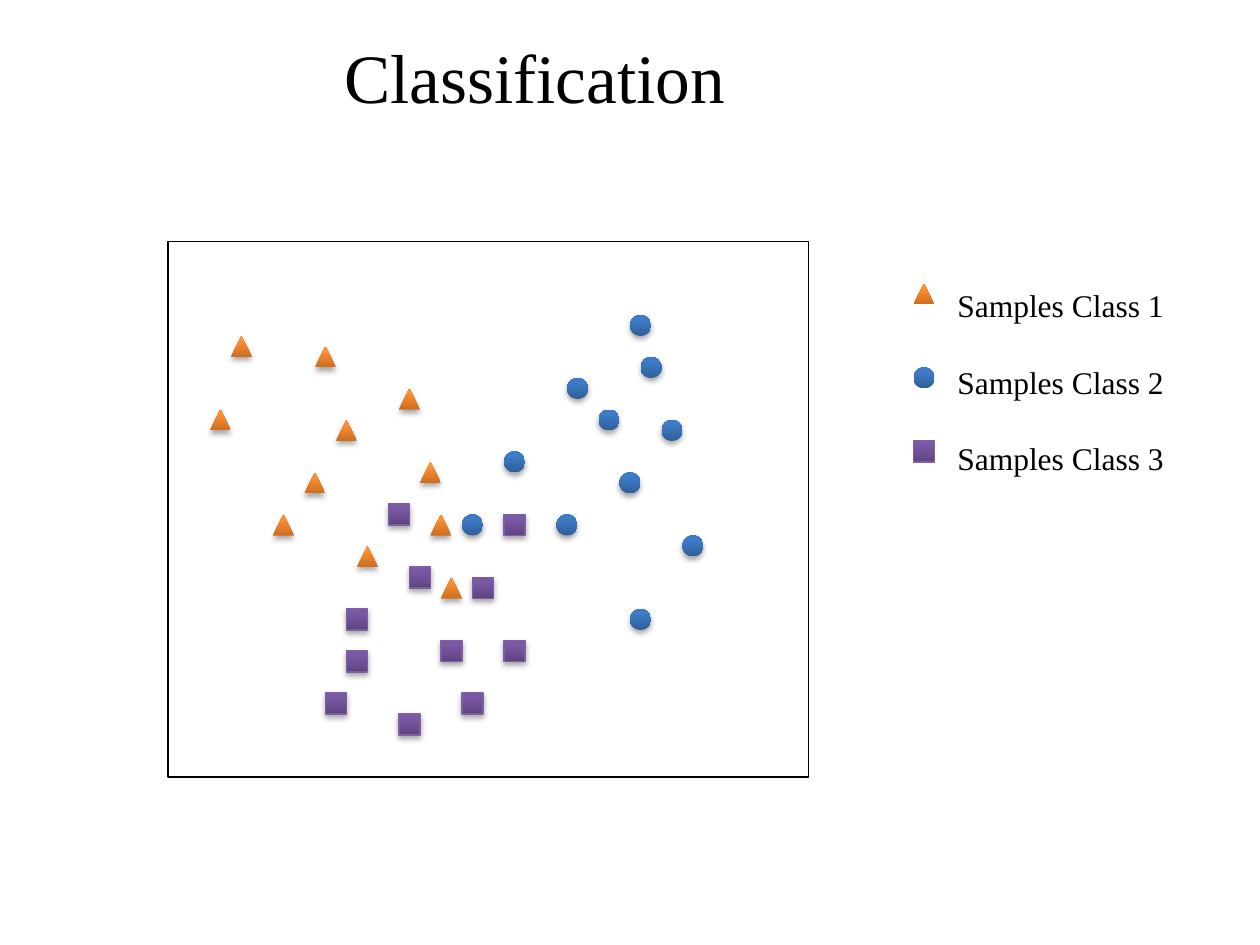
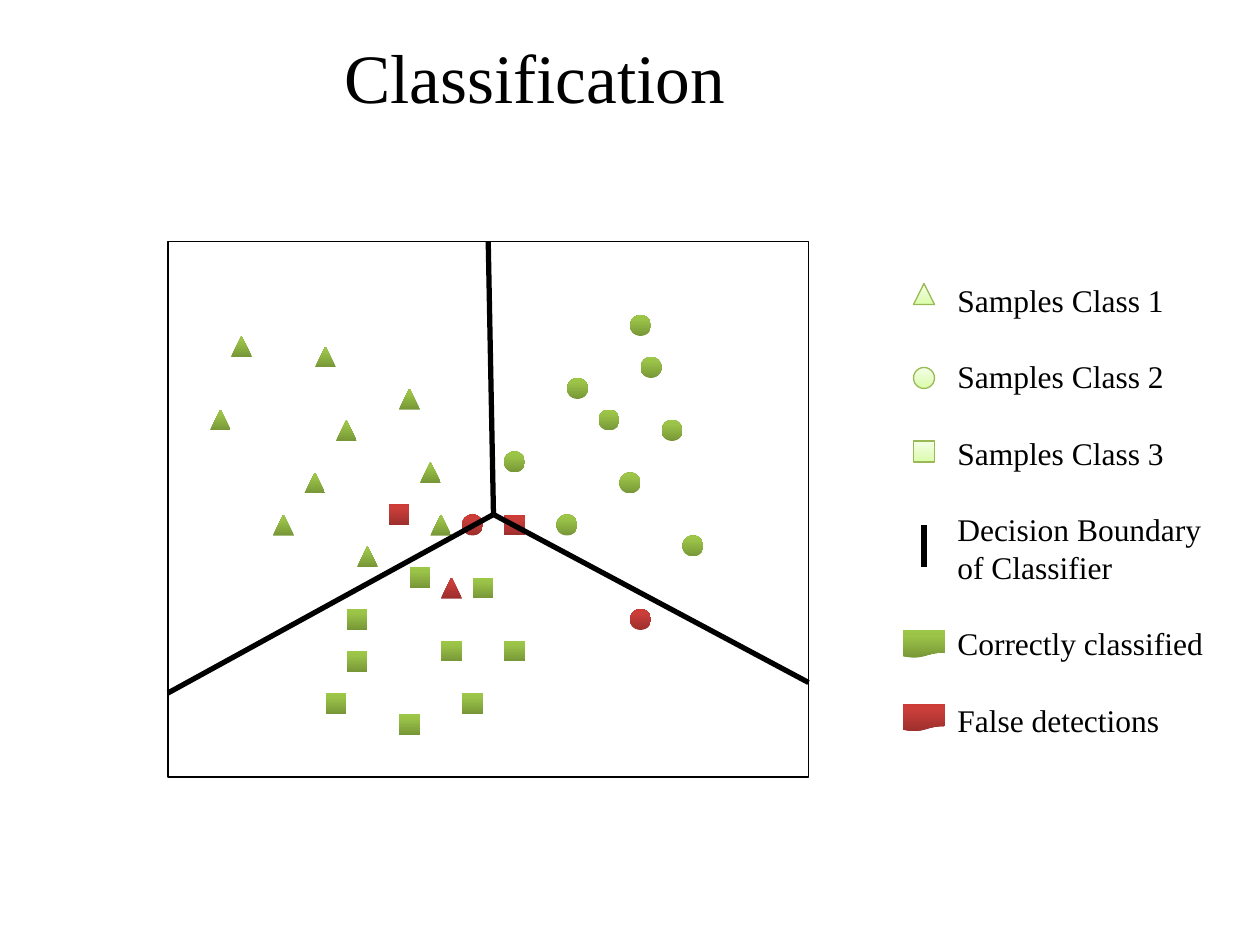
from lxml import etree
from pptx import Presentation
from pptx.dml.color import RGBColor
from pptx.enum.shapes import MSO_CONNECTOR, MSO_SHAPE
from pptx.enum.text import MSO_ANCHOR, MSO_AUTO_SIZE, PP_ALIGN
from pptx.oxml import parse_xml
from pptx.oxml.ns import nsdecls, qn
from pptx.util import Inches, Pt

TRIANGLE = MSO_SHAPE.ISOSCELES_TRIANGLE
CIRCLE = MSO_SHAPE.OVAL
SQUARE = MSO_SHAPE.RECTANGLE
SWATCH = MSO_SHAPE.FLOWCHART_DOCUMENT
FRAME = MSO_SHAPE.ROUNDED_RECTANGLE
STRAIGHT = MSO_CONNECTOR.STRAIGHT
CENTER = PP_ALIGN.CENTER
MIDDLE = MSO_ANCHOR.MIDDLE
FIXED = MSO_AUTO_SIZE.NONE
GROW = MSO_AUTO_SIZE.SHAPE_TO_FIT_TEXT

# Theme: gradients list (position in percent, colour) from bottom to top
THEME = {
    "font": "Times New Roman",
    "ink": RGBColor.from_string("000000"),
    "title_size": Pt(39.6),
    "legend_size": Pt(18),
    "legend_line": Pt(21.8),
    "thin": Pt(0.75),
    "boundary": Pt(3),
    "orange": [(0, "CC6E20"), (80, "FF9034"), (100, "FF9136")],
    "blue": [(0, "2F5F99"), (80, "3D7CC7"), (100, "3A7CCB")],
    "purple": [(0, "5F4480"), (80, "7B58A6"), (100, "7C57A8")],
    "green": [(0, "779737"), (80, "9BC348"), (100, "9DC746")],
    "red": [(0, "9C2F2D"), (80, "CB3E3A"), (100, "CE3B37")],
    "pale": [(0, "DAFDA7"), (35, "E4FCC2"), (100, "F5FFE7")],
    "purple_edge": "7D60A0",
    "pale_edge": "98B955",
}

# Everything sits on a grid of twelfths of an inch
UNIT = Inches(1) // 12
MARKER_SIZE = 2
FRAME_BOX = (16, 23, 61, 51)
LEGEND_X = 87

# Samples: symbol, colour, edge, legend row, correctly classified, misclassified
CLASSES = [
    (TRIANGLE, "orange", None, 27,
     [(22, 32), (30, 33), (20, 39), (26, 49), (32, 40), (29, 45), (38, 37),
      (34, 52), (40, 44), (41, 49)],
     [(42, 55)]),
    (CIRCLE, "blue", None, 35,
     [(60, 30), (57, 39), (61, 34), (59, 45), (63, 40), (48, 43), (53, 49),
      (65, 51), (54, 36)],
     [(60, 58), (44, 49)]),
    (SQUARE, "purple", "purple_edge", 42,
     [(45, 55), (38, 68), (42, 61), (44, 66), (48, 61), (31, 66), (33, 58),
      (39, 54), (33, 62)],
     [(48, 49), (37, 48)]),
]
CLASS_LABELS = ["Samples Class 1", "Samples Class 2", "Samples Class 3"]
RESULT_LABELS = ["Decision Boundary\nof Classifier", "Correctly classified",
                 "False detections"]


def add_marker(slide, symbol, x, y, gradient, edge=None, shadow=False,
               width=MARKER_SIZE, height=MARKER_SIZE):
    marker = slide.shapes.add_shape(
        symbol, x * UNIT, y * UNIT, width * UNIT, round(height * UNIT))
    marker.shadow.inherit = False
    marker.fill.background()
    if edge:
        marker.line.color.rgb = RGBColor.from_string(THEME[edge])
        marker.line.width = THEME["thin"]
    else:
        marker.line.fill.background()
    properties = marker._element.spPr
    stops = "".join(
        f'<a:gs pos="{position * 1000}"><a:srgbClr val="{colour}"/></a:gs>'
        for position, colour in THEME[gradient])
    properties.replace(properties.find(qn("a:noFill")), parse_xml(
        f'<a:gradFill {nsdecls("a")} rotWithShape="1"><a:gsLst>{stops}</a:gsLst>'
        '<a:lin ang="16200000" scaled="0"/></a:gradFill>'))
    if shadow:
        properties.find(qn("a:effectLst")).append(parse_xml(
            f'<a:outerShdw {nsdecls("a")} blurRad="40000" dist="23000" dir="5400000" '
            'rotWithShape="0"><a:srgbClr val="000000"><a:alpha val="35000"/>'
            '</a:srgbClr></a:outerShdw>'))


def add_boundary(slide, start, end):
    boundary = slide.shapes.add_connector(
        STRAIGHT, *(round(value * UNIT) for value in start + end))
    boundary.line.color.rgb = THEME["ink"]
    boundary.line.width = THEME["boundary"]
    etree.SubElement(boundary._element.spPr, qn("a:effectLst"))
    return boundary


prs = Presentation()
prs.slide_width, prs.slide_height = Inches(10), Inches(7.5)

for classified in (False, True):
    slide = prs.slides.add_slide(prs.slide_layouts[5])

    # Title
    title = slide.shapes.title
    title.left, title.top = Inches(1.33), Inches(0.25)
    title.width, title.height = Inches(5.83), Inches(0.7)
    heading = title.text_frame
    heading.auto_size = FIXED
    heading.vertical_anchor = MIDDLE
    heading.paragraphs[0].alignment = CENTER
    run = heading.paragraphs[0].add_run()
    run.text = "Classification"
    run.font.name, run.font.size = THEME["font"], THEME["title_size"]
    run.font.color.rgb = THEME["ink"]

    # Feature space
    frame = slide.shapes.add_shape(FRAME, *(value * UNIT for value in FRAME_BOX))
    frame.adjustments[0] = 0
    frame.shadow.inherit = False
    frame.fill.background()
    frame.line.color.rgb = THEME["ink"]
    frame.line.width = THEME["thin"]

    # Samples and their legend symbols
    for symbol, colour, edge, legend_y, correct, wrong in CLASSES:
        if classified:
            for x, y in correct:
                add_marker(slide, symbol, x, y, "green")
            for x, y in wrong:
                add_marker(slide, symbol, x, y, "red")
            add_marker(slide, symbol, LEGEND_X, legend_y, "pale", "pale_edge")
        else:
            for x, y in correct + wrong:
                add_marker(slide, symbol, x, y, colour, edge, shadow=True)
            add_marker(slide, symbol, LEGEND_X, legend_y, colour, edge)

    # Legend labels
    labels = CLASS_LABELS + RESULT_LABELS if classified else CLASS_LABELS
    top, width, height = (2.18, 2.16, 3.74) if classified else (2.22, 1.84, 1.62)
    legend = slide.shapes.add_textbox(
        Inches(7.5), Inches(top), Inches(width), Inches(height)).text_frame
    legend.word_wrap = False
    legend.auto_size = GROW
    for index, label in enumerate(labels):
        entry = legend.add_paragraph() if index else legend.paragraphs[0]
        entry.line_spacing = THEME["legend_line"]
        if index:
            entry.space_before = THEME["legend_line"]
        for part, text in enumerate(label.split("\n")):
            if part:
                entry.add_line_break()
            run = entry.add_run()
            run.text = text
            run.font.name, run.font.size = THEME["font"], THEME["legend_size"]
            run.font.color.rgb = THEME["ink"]

    # Decision boundaries and result legend
    if classified:
        hub = (47, 49)
        upper = add_boundary(slide, (46.5, 23), hub)
        upper.begin_connect(frame, 0)
        add_boundary(slide, hub, (16, 66))
        add_boundary(slide, hub, (77, 65))
        add_boundary(slide, (88, 50), (88, 54))
        for colour, y in (("green", 60), ("red", 67)):
            add_marker(slide, SWATCH, 86, y, colour, width=4, height=2.67)

prs.save("out.pptx")
